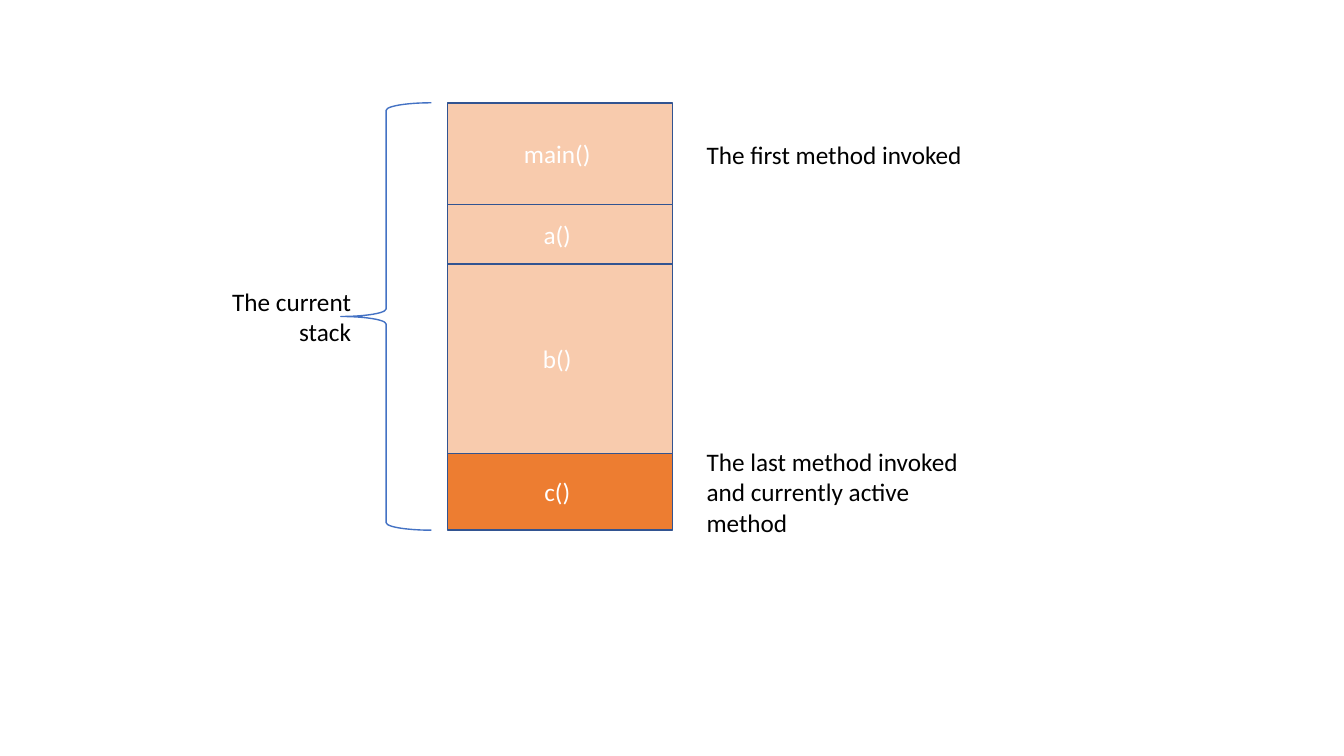
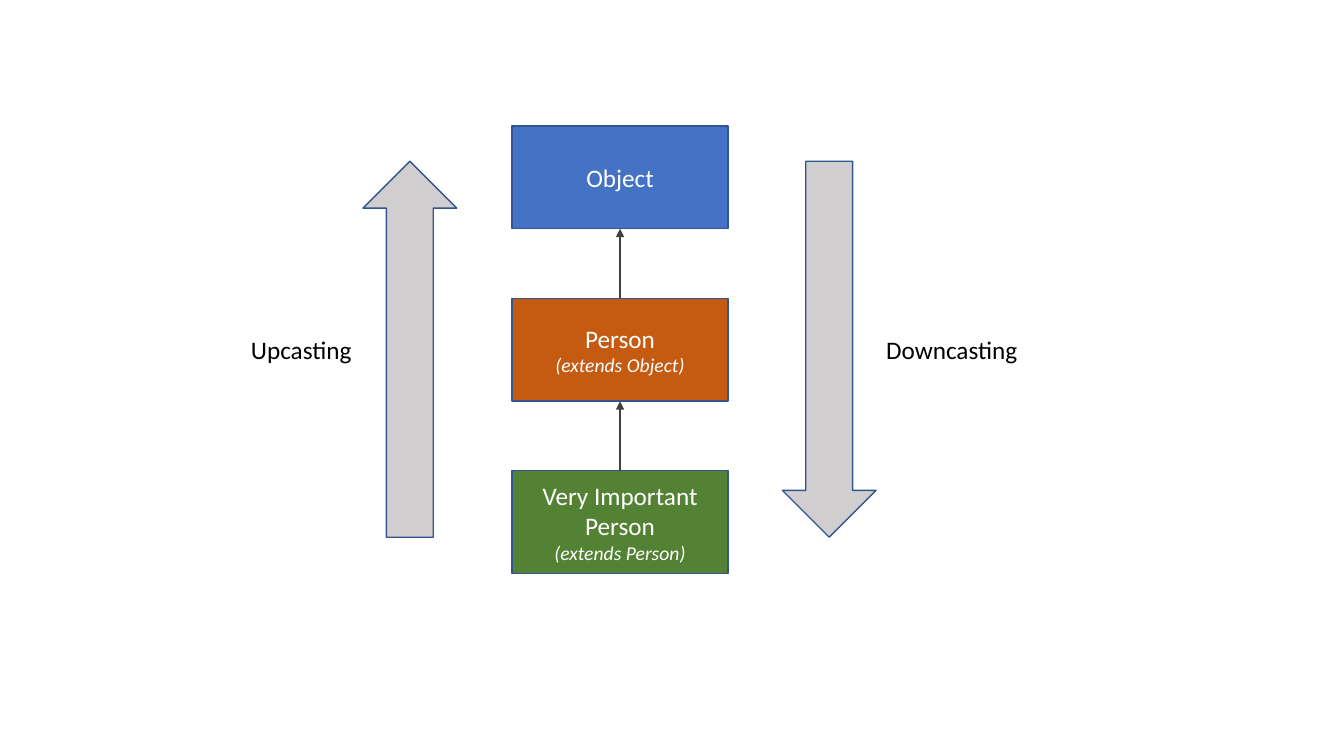
from itertools import pairwise

from lxml.etree import SubElement
from pptx import Presentation
from pptx.dml.color import RGBColor
from pptx.enum.shapes import MSO_CONNECTOR, MSO_SHAPE
from pptx.enum.text import MSO_ANCHOR, MSO_AUTO_SIZE, PP_ALIGN
from pptx.oxml.ns import qn
from pptx.util import Inches, Pt

FONT = "Calibri"
WHITE, BLACK = "FFFFFF", "000000"
BLUE, OUTLINE, LINK = "4472C4", "325491", "404040"
WAITING, ACTIVE, GREY = "F8CBAD", "ED7D31", "D0CECE"

# Slide 1: method, frame height, fill
FRAMES = [
    ("main() ", 1.01, WAITING),
    ("a() ", 0.59, WAITING),
    ("b() ", 1.88, WAITING),
    ("c() ", 0.76, ACTIVE),
]
STACK_LEFT, STACK_TOP, STACK_WIDTH = 4.44, 1.02, 2.23
BRACE_LEFT, BRACE_WIDTH = 3.38, 0.9
# text, left, top, width, height, format
STACK_LABELS = [
    ("The first method invoked", 6.91, 1.33, 2.76, 0.4, {"wrap": False}),
    ("The last method invoked and currently active method",
     6.91, 4.38, 2.76, 1.01, {}),
    ("The current stack", 2.1, 2.79, 1.48, 0.71, {"align": PP_ALIGN.RIGHT}),
]

# Slide 2: class, note, fill
CLASSES = [
    ("Object", None, BLUE),
    ("Person", "(extends Object)", "C55A11"),
    ("Very Important Person", "(extends Person)", "548235"),
]
CLASS_LEFT, CLASS_TOP, CLASS_WIDTH, CLASS_HEIGHT = 5.08, 1.25, 2.14, 1.02
CLASS_STEP = 1.71
CAST_TOP, CAST_WIDTH, CAST_HEIGHT = 1.6, 0.93, 3.73
LABEL_TOP, LABEL_HEIGHT = 3.27, 0.4
# text, label left, label width, arrow shape, arrow left
CASTS = [
    ("Upcasting", 2.39, 1.21, MSO_SHAPE.UP_ARROW, 3.6),
    ("Downcasting", 8.69, 1.52, MSO_SHAPE.DOWN_ARROW, 7.76),
]


def rgb(value):
    return RGBColor.from_string(value)


def write(para, text, size=18, color=BLACK, italic=False, align=PP_ALIGN.LEFT):
    para.alignment = align
    span = para.add_run()
    span.text = text
    span.font.name = FONT
    span.font.size = Pt(size)
    span.font.italic = italic
    span.font.color.rgb = rgb(color)


def add_label(page, text, *place, wrap=True, **style):
    box = page.shapes.add_textbox(*map(Inches, place))
    frame = box.text_frame
    frame.word_wrap = wrap
    frame.auto_size = MSO_AUTO_SIZE.SHAPE_TO_FIT_TEXT
    write(frame.paragraphs[0], text, **style)


def add_outline(page, kind, *place, fill=None, line=OUTLINE):
    shape = page.shapes.add_shape(kind, *map(Inches, place))
    shape.shadow.inherit = False
    if fill:
        shape.fill.solid()
        shape.fill.fore_color.rgb = rgb(fill)
    else:
        shape.fill.background()
    shape.line.color.rgb = rgb(line)
    shape.line.width = Pt(1)
    return shape


def add_box(page, text, *place, fill, note=None):
    box = add_outline(page, MSO_SHAPE.RECTANGLE, *place, fill=fill)
    frame = box.text_frame
    frame.word_wrap = True
    frame.vertical_anchor = MSO_ANCHOR.MIDDLE
    style = {"color": WHITE, "align": PP_ALIGN.CENTER}
    write(frame.paragraphs[0], text, **style)
    if note:
        write(frame.add_paragraph(), note, size=14, italic=True, **style)
    return box


def add_extends_arrow(page, child, parent):
    arrow = page.shapes.add_connector(MSO_CONNECTOR.STRAIGHT, 0, 0, 0, 0)
    arrow.begin_connect(child, 0)
    arrow.end_connect(parent, 2)
    arrow.line.color.rgb = rgb(LINK)
    arrow.line.width = Pt(1)
    SubElement(arrow.line._get_or_add_ln(), qn("a:tailEnd"), type="triangle")
    SubElement(arrow._element.spPr, qn("a:effectLst"))


def build_stack(page):
    top = STACK_TOP
    for method, height, fill in FRAMES:
        add_box(page, method, STACK_LEFT, top, STACK_WIDTH, height, fill=fill)
        top += height
    add_outline(page, MSO_SHAPE.LEFT_BRACE, BRACE_LEFT, STACK_TOP,
                BRACE_WIDTH, top - STACK_TOP, line=BLUE)
    for text, *place, style in STACK_LABELS:
        add_label(page, text, *place, **style)


def build_casting(page):
    boxes = [
        add_box(page, name, CLASS_LEFT, CLASS_TOP + row * CLASS_STEP,
                CLASS_WIDTH, CLASS_HEIGHT, fill=fill, note=note)
        for row, (name, note, fill) in enumerate(CLASSES)
    ]
    for parent, child in pairwise(boxes):
        add_extends_arrow(page, child, parent)
    for text, left, width, kind, arrow_left in CASTS:
        add_outline(page, kind, arrow_left, CAST_TOP, CAST_WIDTH, CAST_HEIGHT,
                    fill=GREY)
        add_label(page, text, left, LABEL_TOP, width, LABEL_HEIGHT, wrap=False)


def main():
    deck = Presentation()
    deck.slide_width, deck.slide_height = Inches(13.33), Inches(7.5)
    blank = deck.slide_layouts[6]
    for build in (build_stack, build_casting):
        build(deck.slides.add_slide(blank))
    deck.save("out.pptx")


if __name__ == "__main__":
    main()
